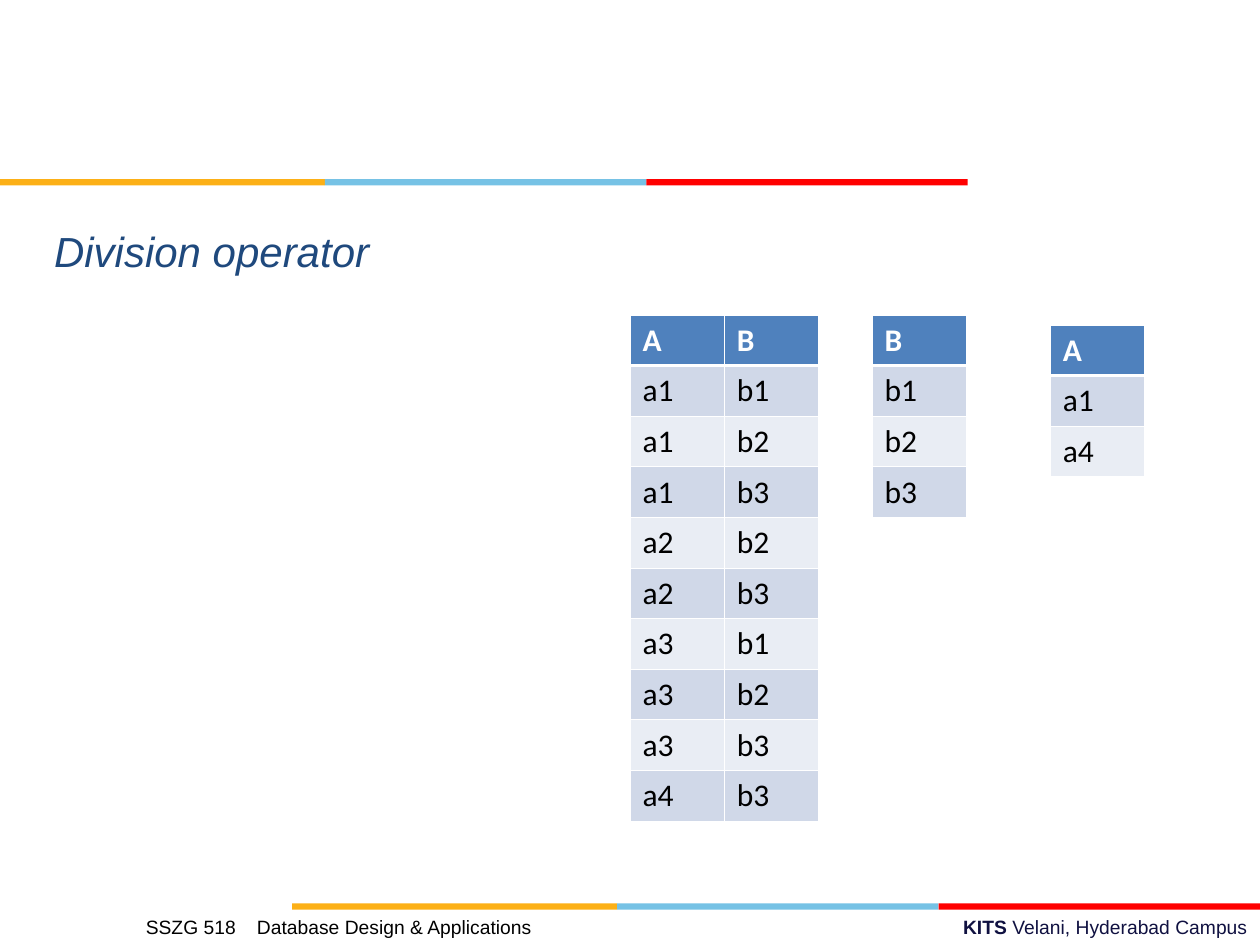
from lxml.etree import SubElement
from pptx import Presentation
from pptx.dml.color import RGBColor as RGB
from pptx.enum.shapes import MSO_SHAPE as Shape
from pptx.enum.text import MSO_ANCHOR as Anchor, PP_ALIGN as Align
from pptx.oxml.ns import qn
from pptx.util import Cm, Pt

THEME = {
    "stripes": ["FCB017", "76C2E5", "FF0000"],
    "title": "1F497D", "campus": "101141", "text": "000000",
    "head": "4F81BD", "head_text": "FFFFFF", "bands": ["D0D8E8", "E9EDF4"],
    "border": "FFFFFF", "thin": 0.45, "thick": 1.47,
    "sans": "Arial", "table_font": "Calibri",
    "title_size": 24, "table_size": 18, "footer_size": 11,
}

# Relations: left, top, header, rows
DIVIDEND = (12.7, 6.35, ["A", "B"], [
    ["a1", "b1"], ["a1", "b2"], ["a1", "b3"],
    ["a2", "b2"], ["a2", "b3"],
    ["a3", "b1"], ["a3", "b2"], ["a3", "b3"],
    ["a4", "b3"],
])
DIVISOR = (17.58, 6.35, ["B"], [["b1"], ["b2"], ["b3"]])
QUOTIENT = (21.17, 6.55, ["A"], [["a1"], ["a4"]])

STRIPE_WIDTHS = [6.55, 6.48, 6.48]
STRIPE_H = 0.13
STRIPE_ROWS = [(0, 3.61), (25.4 - sum(STRIPE_WIDTHS), 18.21)]
COL_W, ROW_H = 1.9, 1.02
FOOTER_TOP, FOOTER_H = 18.31, 0.74
COURSE_TAB = 2.24


def add_run(p, text, *, size, font, color, bold=False, italic=False):
    r = p.add_run()
    r.text = text
    f = r.font
    f.size, f.name, f.bold, f.italic = Pt(size), font, bold, italic
    f.color.rgb = RGB.from_string(color)


def add_box(slide, left, top, width, height, align=Align.LEFT):
    """Add an empty wrapped text box and return its first paragraph."""
    tf = slide.shapes.add_textbox(Cm(left), Cm(top), Cm(width), Cm(height)).text_frame
    tf.word_wrap = True
    tf.vertical_anchor = Anchor.MIDDLE
    p = tf.paragraphs[0]
    p.alignment = align
    return p


def add_tab_stop(p, pos):
    tabs = SubElement(p._p.get_or_add_pPr(), qn("a:tabLst"))
    SubElement(tabs, qn("a:tab"), pos=str(Cm(pos)), algn="l")


def add_stripes(slide, left, top):
    for width, color in zip(STRIPE_WIDTHS, THEME["stripes"]):
        sp = slide.shapes.add_shape(Shape.RECTANGLE, Cm(left), Cm(top), Cm(width), Cm(STRIPE_H))
        sp.shadow.inherit = False
        sp.fill.solid()
        sp.fill.fore_color.rgb = RGB.from_string(color)
        sp.line.fill.background()
        left += width


def set_borders(cell, **widths):
    """Draw the named sides (L, R, T, B) at the given point widths."""
    tc_pr = cell._tc.get_or_add_tcPr()
    for side, width in widths.items():
        ln = SubElement(tc_pr, qn(f"a:ln{side}"), w=str(Pt(width)))
        fill = SubElement(ln, qn("a:solidFill"))
        SubElement(fill, qn("a:srgbClr"), val=THEME["border"])


def add_relation(slide, left, top, header, rows):
    grid = [header, *rows]
    table = slide.shapes.add_table(
        len(grid), len(header), Cm(left), Cm(top),
        Cm(COL_W * len(header)), Cm(ROW_H * len(grid))).table
    for col in table.columns:
        col.width = Cm(COL_W)
    thin, thick = THEME["thin"], THEME["thick"]
    for i, values in enumerate(grid):
        table.rows[i].height = Cm(ROW_H)
        is_head = i == 0
        fill = THEME["head"] if is_head else THEME["bands"][(i - 1) % 2]
        for j, value in enumerate(values):
            cell = table.cell(i, j)
            set_borders(cell, L=thin, R=thin, T=thick if i == 1 else thin,
                        B=thick if is_head else thin)
            cell.fill.solid()
            cell.fill.fore_color.rgb = RGB.from_string(fill)
            add_run(cell.text_frame.paragraphs[0], value, bold=is_head,
                    size=THEME["table_size"], font=THEME["table_font"],
                    color=THEME["head_text" if is_head else "text"])


def main():
    prs = Presentation()
    prs.slide_width, prs.slide_height = Cm(25.4), Cm(19.05)
    slide = prs.slides.add_slide(prs.slide_layouts[6])

    for left, top in STRIPE_ROWS:
        add_stripes(slide, left, top)

    footer = {"size": THEME["footer_size"], "font": THEME["sans"]}
    p = add_box(slide, 9.1, FOOTER_TOP, 16.3, FOOTER_H, Align.RIGHT)
    add_run(p, "KITS ", color=THEME["campus"], bold=True, **footer)
    add_run(p, "Velani, Hyderabad Campus", color=THEME["campus"], **footer)

    p = add_box(slide, 0.84, 4.4, 23.04, 1.3)
    add_run(p, "Division operator", size=THEME["title_size"], font=THEME["sans"],
            color=THEME["title"], italic=True)

    for relation in (DIVIDEND, DIVISOR, QUOTIENT):
        add_relation(slide, *relation)

    p = add_box(slide, 2.69, FOOTER_TOP, 8.8, FOOTER_H)
    add_tab_stop(p, COURSE_TAB)
    add_run(p, "SSZG 518\tDatabase Design & Applications", color=THEME["text"], **footer)

    prs.save("out.pptx")


if __name__ == "__main__":
    main()
